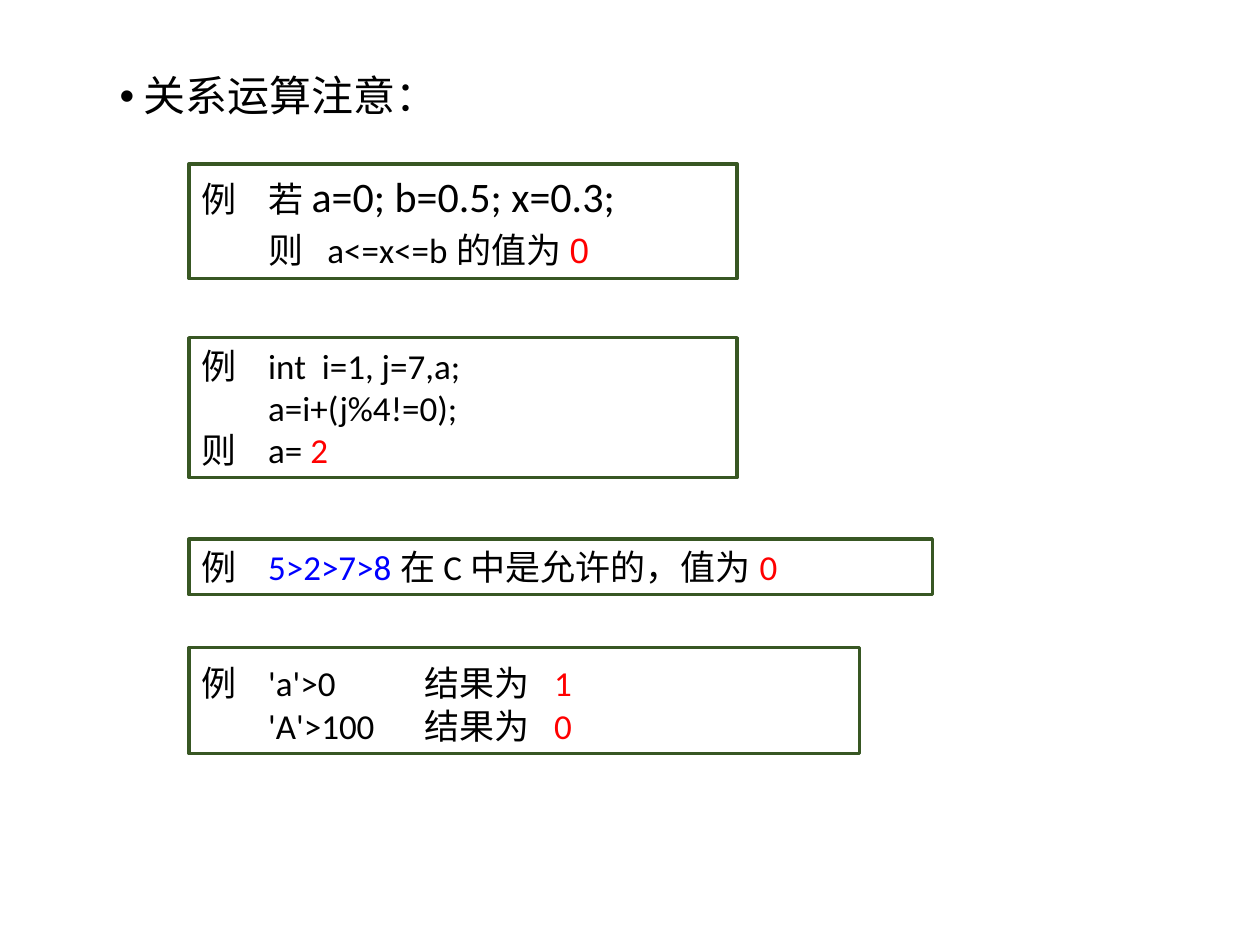
from lxml.etree import SubElement
from pptx import Presentation
from pptx.dml.color import RGBColor
from pptx.enum.shapes import MSO_SHAPE
from pptx.enum.text import MSO_ANCHOR, MSO_AUTO_SIZE, PP_ALIGN
from pptx.oxml.ns import qn
from pptx.util import Inches, Pt

COLORS = {"text": "000000", "value": "FF0000", "code": "0000FF",
          "fill": "FFFFFF", "border": "385723"}
CJK = "Noto Sans CJK SC"
LATIN = "Calibri"
LEFT = 1.5
CODE_TAB = 0.53

EXAMPLES = [
    ((LEFT, 1.3, 4.35, 0.91), (CODE_TAB, 1.0), [
        [("例", CJK), ("\t", CJK, "text", 24), ("若", CJK),
         ("a=0; b=0.5; x=0.3;", LATIN, "text", 24)],
        [("\t", CJK, "text", 24), ("则", CJK), ("\t", CJK, "text", 24),
         ("a<=x<=b", LATIN), ("的值为", CJK), ("0", "Arial", "value")],
    ]),
    ((LEFT, 2.68, 4.35, 1.11), (CODE_TAB,), [
        [("例\t", CJK), ("int  i=1, j=7,a;", LATIN)],
        [("\ta=i+(j%4!=0);", LATIN)],
        [("则\t", CJK), ("a=", LATIN), (" 2", LATIN, "value")],
    ]),
    ((LEFT, 4.28, 5.9, 0.44), (CODE_TAB,), [
        [("例\t", CJK), ("5>2>7>8", LATIN, "code"), ("在", CJK),
         ("C", LATIN), ("中是允许的，值为", CJK), ("0", LATIN, "value")],
    ]),
    ((LEFT, 5.14, 5.32, 0.84), (CODE_TAB, 1.77, 2.8), [
        [("例", CJK), ("\t", CJK, "text", 24), ("'a'>0\t", LATIN),
         ("结果为\t", CJK), ("1", LATIN, "value")],
        [("\t'A'>100\t", LATIN), ("结果为\t", CJK), ("0", LATIN, "value")],
    ]),
]


def rgb(name):
    """Return the named colour."""
    return RGBColor.from_string(COLORS[name])


def add_run(p, text, font, color="text", size=20):
    """Append a formatted run to a paragraph."""
    r = p.add_run()
    r.text = text
    r.font.name = font
    r.font.size = Pt(size)
    r.font.color.rgb = rgb(color)
    SubElement(r.font._element, qn("a:ea"), typeface=CJK)


def set_tabs(p, stops):
    """Give a paragraph left tab stops at the given inches."""
    tabs = SubElement(p._p.get_or_add_pPr(), qn("a:tabLst"))
    for stop in stops:
        SubElement(tabs, qn("a:tab"), pos=str(Inches(stop)), algn="l")


def add_heading(slide, box, text):
    """Fill the body placeholder with the bulleted heading."""
    sp = slide.placeholders[1]
    sp.left, sp.top, sp.width, sp.height = map(Inches, box)
    tf = sp.text_frame
    tf.word_wrap = False
    tf.auto_size = MSO_AUTO_SIZE.NONE
    p = tf.paragraphs[0]
    p.line_spacing = 0.9
    p.space_before = Pt(3.8)
    pPr = p._p.get_or_add_pPr()
    pPr.set("marL", str(Inches(0.19)))
    pPr.set("indent", str(Inches(-0.19)))
    SubElement(pPr, qn("a:buFont"), typeface="Arial")
    SubElement(pPr, qn("a:buChar"), char="•")
    add_run(p, text, CJK, size=24)


def add_example(slide, box, stops, lines):
    """Draw one bordered example with tab-aligned lines."""
    sp = slide.shapes.add_shape(MSO_SHAPE.RECTANGLE, *map(Inches, box))
    sp.shadow.inherit = False
    sp.fill.solid()
    sp.fill.fore_color.rgb = rgb("fill")
    sp.line.color.rgb = rgb("border")
    sp.line.width = Pt(2)
    tf = sp.text_frame
    tf.word_wrap = True
    tf.auto_size = MSO_AUTO_SIZE.SHAPE_TO_FIT_TEXT
    tf.vertical_anchor = MSO_ANCHOR.MIDDLE
    for i, line in enumerate(lines):
        p = tf.add_paragraph() if i else tf.paragraphs[0]
        p.alignment = PP_ALIGN.LEFT
        set_tabs(p, stops)
        for run in line:
            add_run(p, *run)


def main():
    """Build and save the slide."""
    prs = Presentation()
    prs.slide_width, prs.slide_height = Inches(10), Inches(7.5)
    slide = prs.slides.add_slide(prs.slide_layouts[1])
    title = slide.shapes.title._element
    title.getparent().remove(title)
    add_heading(slide, (0.85, 0.55, 2.63, 0.58), "关系运算注意：")
    for box, stops, lines in EXAMPLES:
        add_example(slide, box, stops, lines)
    prs.save("out.pptx")


if __name__ == "__main__":
    main()
